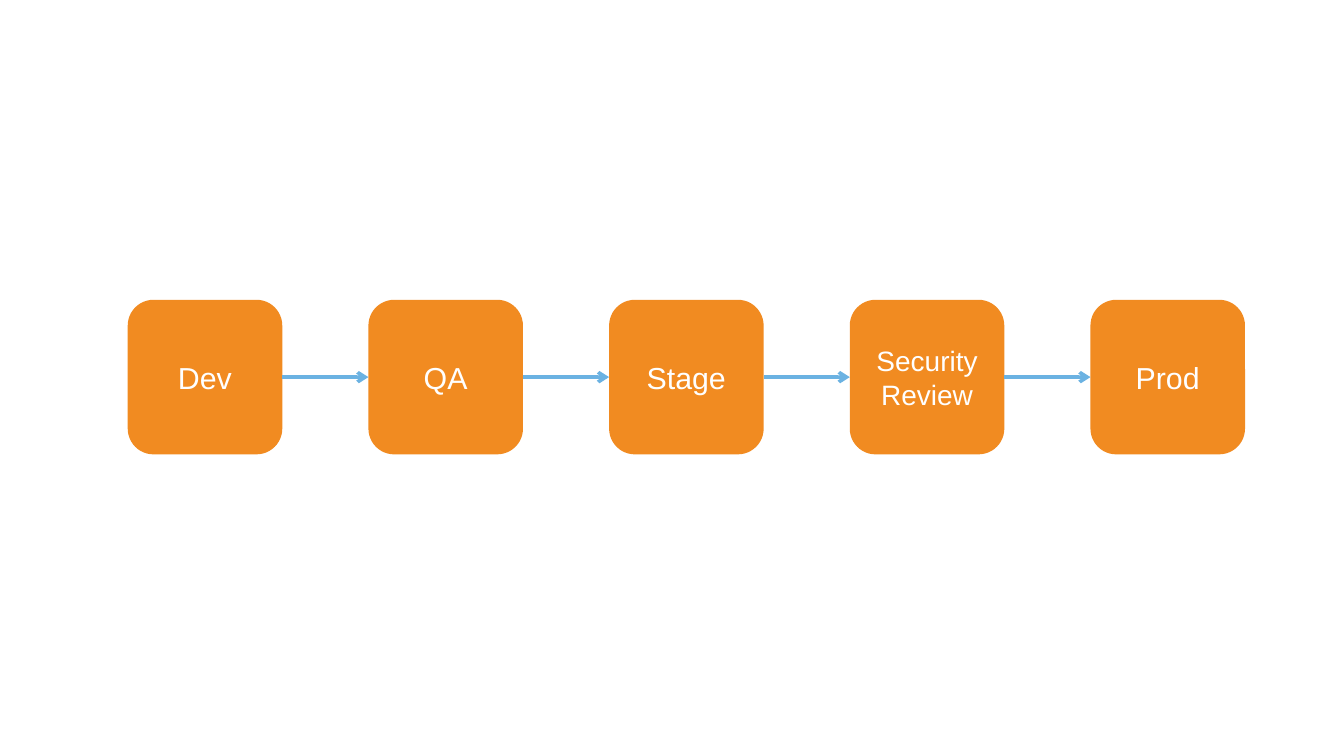
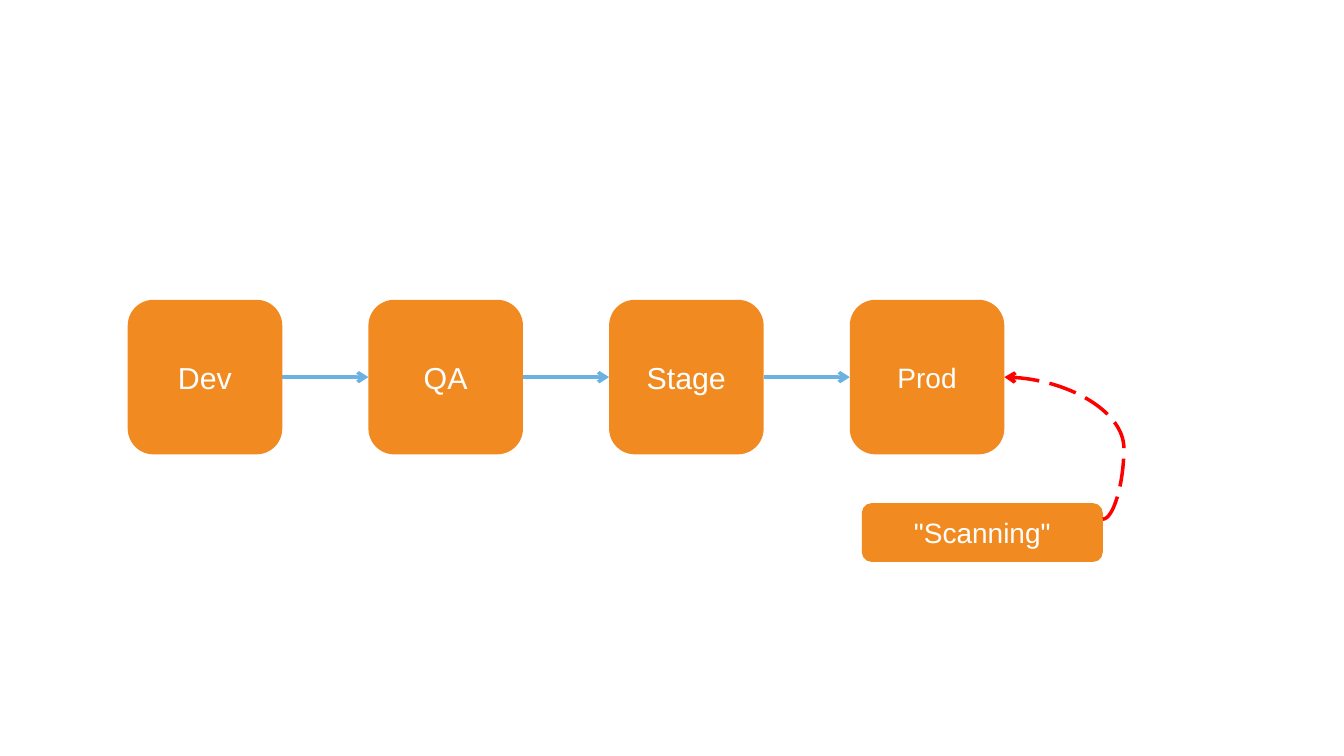
from lxml import etree
from pptx import Presentation
from pptx.dml.color import RGBColor
from pptx.enum.dml import MSO_LINE
from pptx.enum.shapes import MSO_CONNECTOR, MSO_SHAPE
from pptx.enum.text import MSO_ANCHOR, PP_ALIGN
from pptx.oxml.ns import qn
from pptx.util import Pt

ROUNDED = MSO_SHAPE.ROUNDED_RECTANGLE
STRAIGHT = MSO_CONNECTOR.STRAIGHT
CURVE = MSO_CONNECTOR.CURVE
LONG_DASH = MSO_LINE.LONG_DASH
MIDDLE = MSO_ANCHOR.MIDDLE
CENTER = PP_ALIGN.CENTER

COLORS = {"stage": "F18B21", "flow": "6BB2E2", "feedback": "FF0000", "text": "FFFFFF"}
FONT = "Arial"
LINE_WIDTH = 3
SLIDE_SIZE = (1152, 648)
PIPELINE_BOX = (109.5, 257)
STAGE_SIZE = 132.5
STAGE_PITCH = 206.3
SCANNING_BOX = (738.7, 431.3, 206.6, 50.4)
SCANNING_EXIT = 13.7
CURVE_BULGE = -21400
FRAME_FORMAT = {
    "word_wrap": True,
    "vertical_anchor": MIDDLE,
    "margin_left": Pt(7.2),
    "margin_right": Pt(7.2),
    "margin_top": Pt(3.6),
    "margin_bottom": Pt(3.6),
}


def color(name):
    return RGBColor.from_string(COLORS[name])


def apply_format(target, values):
    for name, value in values.items():
        setattr(target, name, value)


def add_box(slide, box, text, size):
    shape = slide.shapes.add_shape(ROUNDED, *map(Pt, box))
    shape.shadow.inherit = False
    shape.fill.solid()
    shape.fill.fore_color.rgb = color("stage")
    shape.line.fill.background()
    apply_format(shape.text_frame, FRAME_FORMAT)
    paragraph = shape.text_frame.paragraphs[0]
    paragraph.text = text
    paragraph.alignment = CENTER
    apply_format(paragraph.font, {"name": FONT, "size": Pt(size)})
    paragraph.font.color.rgb = color("text")


def add_arrow(slide, kind, start, end, color_name, dash=None):
    connector = slide.shapes.add_connector(kind, *map(Pt, start + end))
    connector.line.color.rgb = color(color_name)
    apply_format(connector.line, {"width": Pt(LINE_WIDTH), "dash_style": dash})
    properties = connector._element.spPr
    outline = properties.find(qn("a:ln"))
    etree.SubElement(outline, qn("a:tailEnd"), type="arrow")
    etree.SubElement(properties, qn("a:effectLst"))
    return connector


def add_pipeline(slide, box, stages):
    left, top = box
    middle = top + STAGE_SIZE / 2
    for index, (text, size) in enumerate(stages):
        stage_left = left + index * STAGE_PITCH
        add_box(slide, (stage_left, top, STAGE_SIZE, STAGE_SIZE), text, size)
        if index:
            previous_right = stage_left - STAGE_PITCH + STAGE_SIZE
            add_arrow(slide, STRAIGHT, (previous_right, middle), (stage_left, middle), "flow")
    return stage_left + STAGE_SIZE, middle


def add_scanning(slide, box, target):
    left, top, width, height = box
    add_box(slide, box, '"Scanning"', 24)
    start = (left + width, top + SCANNING_EXIT)
    connector = add_arrow(slide, CURVE, start, target, "feedback", LONG_DASH)
    geometry = connector._element.spPr.find(qn("a:prstGeom"))
    adjustments = geometry.find(qn("a:avLst"))
    if adjustments is None:
        adjustments = etree.SubElement(geometry, qn("a:avLst"))
    etree.SubElement(adjustments, qn("a:gd"), name="adj1", fmla=f"val {CURVE_BULGE}")


def main():
    presentation = Presentation()
    presentation.slide_width, presentation.slide_height = map(Pt, SLIDE_SIZE)
    blank = presentation.slide_layouts[6]
    shared_stages = [("Dev", 26), ("QA", 26), ("Stage", 26)]

    review_slide = presentation.slides.add_slide(blank)
    review_stages = shared_stages + [("Security Review", 24), ("Prod", 26)]
    add_pipeline(review_slide, PIPELINE_BOX, review_stages)

    scanning_slide = presentation.slides.add_slide(blank)
    prod_exit = add_pipeline(scanning_slide, PIPELINE_BOX, shared_stages + [("Prod", 24)])
    add_scanning(scanning_slide, SCANNING_BOX, prod_exit)

    presentation.save("out.pptx")


if __name__ == "__main__":
    main()
